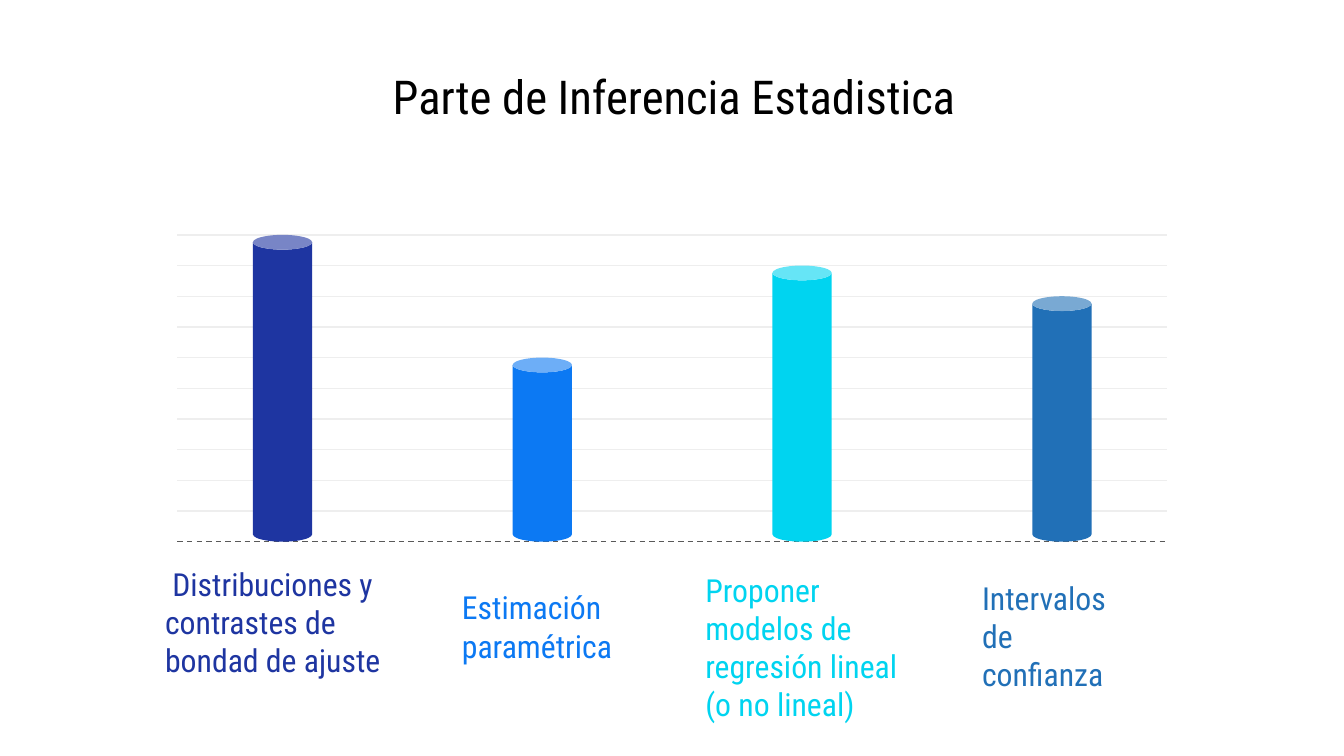
from dataclasses import dataclass

from lxml import etree
from pptx import Presentation
from pptx import util as u
from pptx.dml.color import RGBColor
from pptx.enum import dml, shapes, text
from pptx.oxml.ns import qn

FONT = "Roboto Condensed"

# Chart grid, in centimetres
GRID_LEFT, GRID_RIGHT = 3.35, 22.05
BASELINE, STEP, GRID_STEPS = 10.24, 0.58, 10
BAR_LEFT, BAR_PITCH, BAR_WIDTH = 4.78, 4.91, 1.12
INSET = 0.25


@dataclass
class Bar:
    """A cylinder, its height in grid steps, and the box of its label."""
    label: str
    color: str
    steps: int
    left: float
    top: float
    width: float
    height: float
    inset_top: float = INSET
    inset_bottom: float = INSET


BARS = [
    Bar(" Distribuciones y contrastes de bondad de ajuste", "1E35A1", 10,
        2.87, 10.67, 4.93, 2.9, inset_top=0, inset_bottom=0.72),
    Bar("Estimación paramétrica", "0C79F3", 6, 8.48, 10.52, 3.51, 2.64),
    Bar("Proponer modelos de regresión lineal (o no lineal)", "00D4F0", 9,
        13.08, 10.67, 4.6, 3.12),
    Bar("Intervalos de confianza", "2170B7", 8, 18.31, 10.67, 3.51, 2.69),
]


def rgb(color: str) -> RGBColor:
    return RGBColor.from_string(color)


def set_text(shape, content: str, size: float, color: str, alignment,
             inset_top: float = INSET, inset_bottom: float = INSET) -> None:
    frame = shape.text_frame
    frame.text = content
    frame.word_wrap = True
    frame.auto_size = text.MSO_AUTO_SIZE.NONE
    frame.vertical_anchor = text.MSO_ANCHOR.MIDDLE
    frame.margin_left = frame.margin_right = u.Cm(INSET)
    frame.margin_top, frame.margin_bottom = u.Cm(inset_top), u.Cm(inset_bottom)
    for paragraph in frame.paragraphs:
        paragraph.alignment = alignment
        for run in paragraph.runs:
            run.font.name = FONT
            run.font.size = u.Pt(size)
            run.font.color.rgb = rgb(color)


def add_grid_line(slide, step: int) -> None:
    y = u.Cm(BASELINE - step * STEP)
    line = slide.shapes.add_connector(
        shapes.MSO_CONNECTOR.STRAIGHT, u.Cm(GRID_LEFT), y, u.Cm(GRID_RIGHT), y)
    line.line.width = u.Pt(0.75)
    line.line.color.rgb = rgb("EEEEEE" if step else "595959")
    if step == 0:
        line.line.dash_style = dml.MSO_LINE.DASH
    etree.SubElement(line._element.spPr, qn("a:effectLst"))


def add_bar(slide, bar: Bar, index: int) -> None:
    height = bar.steps * STEP
    can = slide.shapes.add_shape(
        shapes.MSO_SHAPE.CAN, u.Cm(BAR_LEFT + index * BAR_PITCH),
        u.Cm(BASELINE - height), u.Cm(BAR_WIDTH), u.Cm(height))
    can.adjustments[0] = 0.25
    can.shadow.inherit = False
    can.fill.solid()
    can.fill.fore_color.rgb = rgb(bar.color)
    can.line.fill.background()

    label = slide.shapes.add_textbox(
        u.Cm(bar.left), u.Cm(bar.top), u.Cm(bar.width), u.Cm(bar.height))
    set_text(label, bar.label, 17, bar.color, text.PP_ALIGN.LEFT,
             bar.inset_top, bar.inset_bottom)


def main() -> None:
    presentation = Presentation()
    presentation.slide_width, presentation.slide_height = u.Cm(25.4), u.Cm(14.29)
    slide = presentation.slides.add_slide(presentation.slide_layouts[5])

    # Title
    title = slide.shapes.title
    title.left, title.top = u.Cm(1.35), u.Cm(1.14)
    title.width, title.height = u.Cm(22.78), u.Cm(1.35)
    set_text(title, "Parte de Inferencia Estadistica", 25, "000000",
             text.PP_ALIGN.CENTER)

    # Grid lines, with the dashed baseline at step 0
    for step in range(GRID_STEPS + 1):
        add_grid_line(slide, step)

    # Cylinders and labels
    for index, bar in enumerate(BARS):
        add_bar(slide, bar, index)

    presentation.save("out.pptx")


if __name__ == "__main__":
    main()
